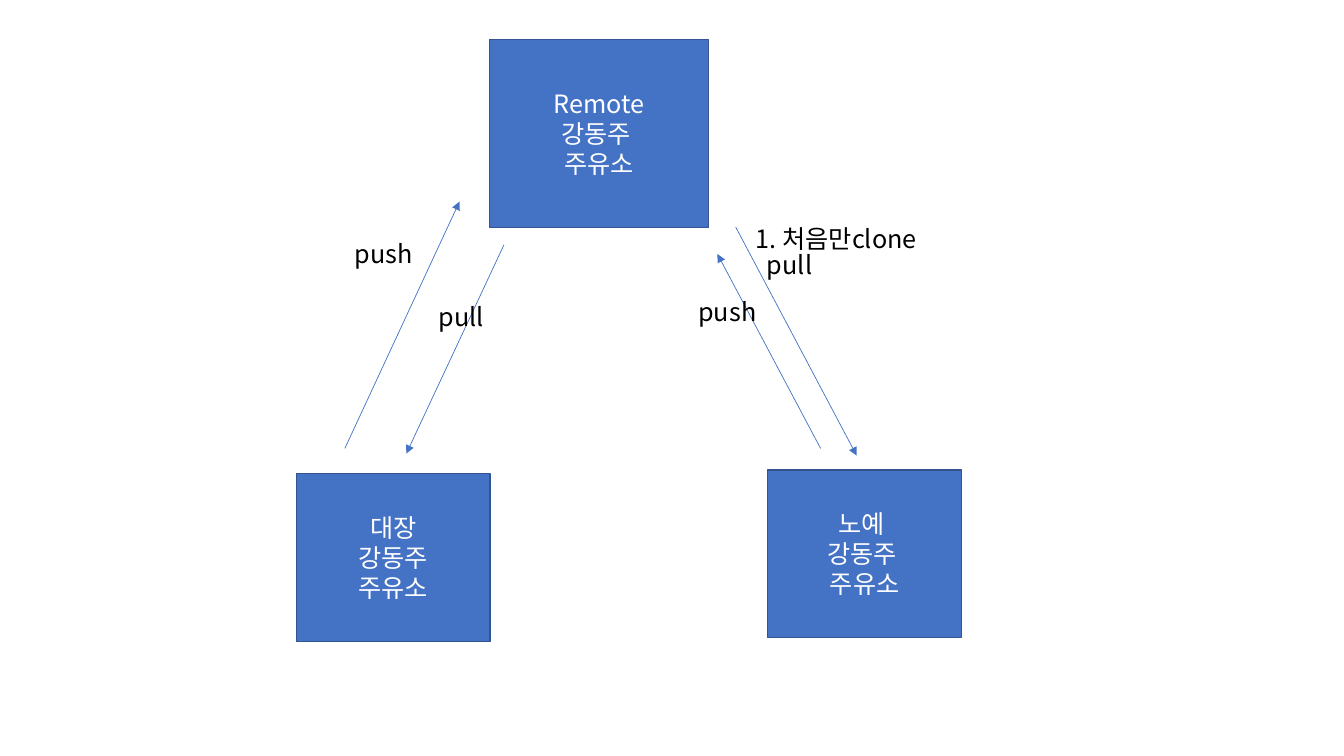
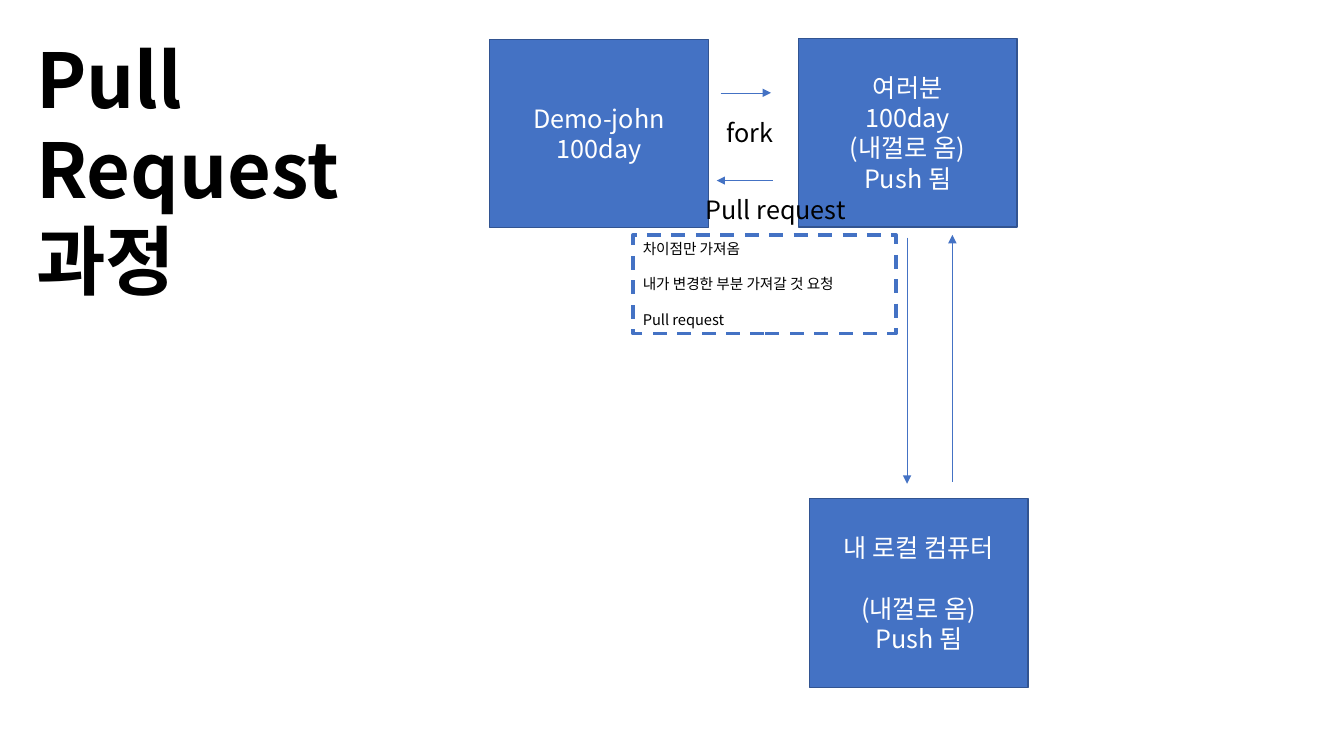
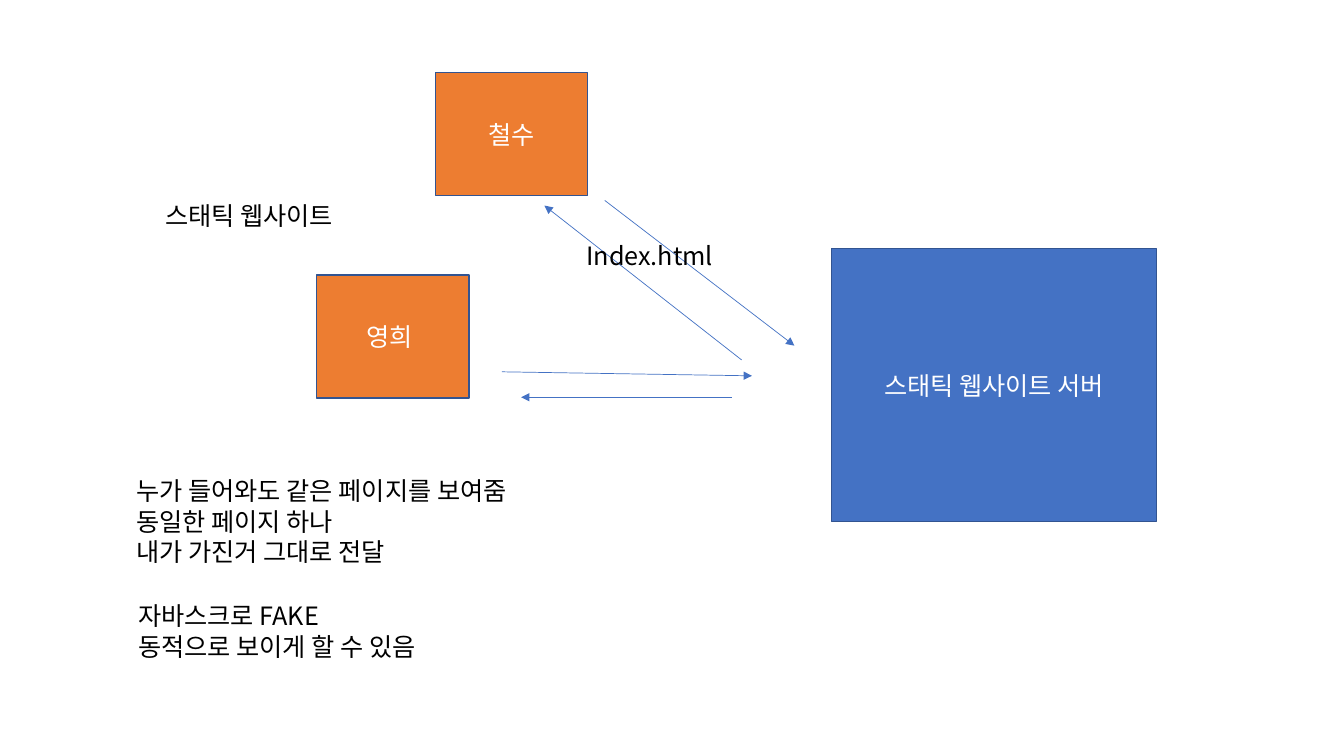
import dataclasses

import pptx
import pptx.dml.color
import pptx.enum.dml
import pptx.enum.shapes
import pptx.enum.text
import pptx.oxml
import pptx.oxml.ns
import pptx.util

Cm = pptx.util.Cm
Pt = pptx.util.Pt
RGB = pptx.dml.color.RGBColor
Align = pptx.enum.text.PP_ALIGN
Anchor = pptx.enum.text.MSO_ANCHOR
AutoSize = pptx.enum.text.MSO_AUTO_SIZE


@dataclasses.dataclass(frozen=True)
class Theme:
    """Colours, font and type sizes shared by all slides."""
    font: str = "Noto Sans CJK KR"
    blue: RGB = RGB(0x44, 0x72, 0xC4)
    orange: RGB = RGB(0xED, 0x7D, 0x31)
    outline: RGB = RGB(0x32, 0x54, 0x91)
    white: RGB = RGB(0xFF, 0xFF, 0xFF)
    black: RGB = RGB(0, 0, 0)
    title: float = 54
    text: float = 18
    note: float = 10.5
    outline_width: float = 1
    arrow_width: float = 0.5
    dash_width: float = 2.5


THEME = Theme()

# Lengths are centimetres. A line of text is a string, or (string, space before in points).
LINE = 1.02
REPOSITORY = (5.51, 4.75)
COMPUTER = (4.88, 4.22)
PERSON = (3.84, 3.1)
SERVER = (8.18, 6.88)
STEP = 2.39

SLIDES = [
    {
        "layout": 6,
        "boxes": [  # left, top, size, colour, lines
            (12.34, 0.99, REPOSITORY, THEME.blue, ["Remote", "강동주 ", "주유소"]),
            (7.47, 11.94, COMPUTER, THEME.blue, ["대장", "강동주", "주유소"]),
            (19.35, 11.84, COMPUTER, THEME.blue, ["노예 ", "강동주 ", "주유소"]),
        ],
        "arrows": [  # start x, start y, end x, end y
            (12.7, 6.17, 10.24, 11.43),
            (20.68, 11.3, 18.08, 6.4),
            (18.54, 5.72, 21.59, 11.48),
            (8.69, 11.3, 11.58, 5.08),
        ],
        "labels": [  # left, top, width, text
            (8.69, 5.89, STEP, "push"),
            (10.8, 7.47, STEP, "pull"),
            (17.35, 7.34, STEP, "push"),
            (18.8, 5.51, 8.18, "1. 처음만clone"),
            (19.08, 6.17, STEP, "pull"),
        ],
    },
    {
        "layout": 5,
        "placeholders": [  # left, top, width, height, size, bold, lines
            (0.66, 0.69, 9.58, 7.19, THEME.title, True, ["Pull Request 과정"]),
        ],
        "boxes": [
            (12.34, 0.99, REPOSITORY, THEME.blue, ["Demo-john", "100day"]),
            (20.12, 0.97, REPOSITORY, THEME.blue,
             ["여러분", "100day", "(내껄로 옴)", "Push 됨"]),
            (20.4, 12.57, REPOSITORY, THEME.blue,
             ["내 로컬 컴퓨터", ("(내껄로 옴)", 21.5), "Push 됨"]),
        ],
        "arrows": [
            (18.16, 2.34, 19.43, 2.34),
            (22.86, 5.99, 22.86, 12.19),
            (24, 12.14, 24, 5.92),
            (19.48, 4.55, 18.06, 4.55),
        ],
        "dashed": [  # left, top, width, height, lines
            (15.95, 5.92, 6.63, 2.49,
             ["차이점만 가져옴", ("내가 변경한 부분 가져갈 것 요청", 12.6),
              ("Pull request", 12.6)]),
        ],
        "labels": [
            (18.06, 2.82, STEP, "fork"),
            (17.53, 4.78, 16, "Pull request"),
        ],
    },
    {
        "layout": 3,
        "placeholders": [
            (3.91, 4.93, 11.96, LINE, THEME.text, False, ["스태틱 웹사이트"]),
            (3.18, 11.86, 17.17, 2.57, THEME.text, False,
             ["누가 들어와도 같은 페이지를 보여줌", "동일한 페이지 하나",
              "내가 가진거 그대로 전달"]),
            (3.23, 15.01, 17.17, 1.8, THEME.text, False,
             ["자바스크로 FAKE", "동적으로 보이게 할 수 있음"]),
        ],
        "boxes": [
            (20.96, 6.27, SERVER, THEME.blue, ["스태틱 웹사이트 서버"]),
            (10.97, 1.83, PERSON, THEME.orange, ["철수"]),
            (7.98, 6.93, PERSON, THEME.orange, ["영희 "]),
        ],
        "arrows": [
            (15.24, 5.05, 20.02, 8.71),
            (18.69, 9.07, 13.72, 5.18),
            (12.65, 9.37, 18.95, 9.47),
            (18.44, 10.01, 13.13, 10.01),
        ],
        "labels": [(14.53, 5.92, 4.55, "Index.html")],
    },
]


def apply(target, formats):
    """Set each named attribute on the target."""
    for name, value in formats.items():
        setattr(target, name, value)


def add_element(parent, tag, **attributes):
    """Append a DrawingML element to the parent."""
    element = pptx.oxml.parse_xml(f"<{tag} {pptx.oxml.ns.nsdecls('a')}/>")
    for name, value in attributes.items():
        element.set(name, value)
    parent.append(element)


def write(shape, lines, size=THEME.text, colour=THEME.black, bold=False,
          align=Align.LEFT, anchor=Anchor.TOP, auto_size=AutoSize.NONE):
    """Write the lines into the shape as formatted paragraphs."""
    frame = shape.text_frame
    apply(frame, {"word_wrap": True, "vertical_anchor": anchor, "auto_size": auto_size})
    for index, line in enumerate(lines):
        text, gap = line if isinstance(line, tuple) else (line, 0)
        paragraph = frame.add_paragraph() if index else frame.paragraphs[0]
        apply(paragraph, {"alignment": align, "space_before": Pt(gap)})
        run = paragraph.add_run()
        run.text = text
        apply(run.font, {"name": THEME.font, "size": Pt(size), "bold": bold})
        run.font.color.rgb = colour
        add_element(run.font._element, "a:ea", typeface=THEME.font)


def outline(line, colour, width):
    """Give a line its colour and width."""
    line.color.rgb = colour
    line.width = Pt(width)


def fill_placeholder(placeholder, left, top, width, height, size, bold, lines):
    """Move a title or body placeholder and write plain, unbulleted text in it."""
    apply(placeholder, {"left": Cm(left), "top": Cm(top),
                        "width": Cm(width), "height": Cm(height)})
    write(placeholder, lines, size, bold=bold)
    for paragraph in placeholder.text_frame.paragraphs:
        properties = paragraph._p.get_or_add_pPr()
        properties.set("marL", "0")
        properties.set("indent", "0")
        add_element(properties, "a:buNone")


def add_rectangle(slide, left, top, width, height):
    """Add a rectangle without a shadow."""
    rectangle = slide.shapes.add_shape(
        pptx.enum.shapes.MSO_SHAPE.RECTANGLE, Cm(left), Cm(top), Cm(width), Cm(height))
    rectangle.shadow.inherit = False
    return rectangle


def add_box(slide, left, top, size, colour, lines):
    """Add a filled box with centred white text."""
    box = add_rectangle(slide, left, top, *size)
    box.fill.solid()
    box.fill.fore_color.rgb = colour
    outline(box.line, THEME.outline, THEME.outline_width)
    write(box, lines, colour=THEME.white, align=Align.CENTER, anchor=Anchor.MIDDLE)


def add_dashed(slide, left, top, width, height, lines):
    """Add an unfilled note with a dashed border."""
    note = add_rectangle(slide, left, top, width, height)
    note.fill.background()
    outline(note.line, THEME.blue, THEME.dash_width)
    note.line.dash_style = pptx.enum.dml.MSO_LINE.DASH
    write(note, lines, THEME.note, auto_size=AutoSize.SHAPE_TO_FIT_TEXT)


def add_arrow(slide, *ends):
    """Add a thin straight arrow."""
    arrow = slide.shapes.add_connector(
        pptx.enum.shapes.MSO_CONNECTOR.STRAIGHT, *map(Cm, ends))
    outline(arrow.line, THEME.blue, THEME.arrow_width)
    add_element(arrow.line._get_or_add_ln(), "a:tailEnd", type="triangle")
    add_element(arrow._element.spPr, "a:effectLst")


def add_label(slide, left, top, width, text):
    """Add a one-line text box."""
    label = slide.shapes.add_textbox(Cm(left), Cm(top), Cm(width), Cm(LINE))
    write(label, [text], auto_size=AutoSize.SHAPE_TO_FIT_TEXT)


DRAWERS = {"boxes": add_box, "arrows": add_arrow, "dashed": add_dashed, "labels": add_label}


def build():
    """Build the presentation and save it."""
    presentation = pptx.Presentation()
    apply(presentation, {"slide_width": Cm(33.87), "slide_height": Cm(19.05)})
    for content in SLIDES:
        slide = presentation.slides.add_slide(presentation.slide_layouts[content["layout"]])
        for placeholder, values in zip(slide.placeholders, content.get("placeholders", [])):
            fill_placeholder(placeholder, *values)
        for kind, draw in DRAWERS.items():
            for values in content.get(kind, []):
                draw(slide, *values)
    presentation.save("out.pptx")


build()
